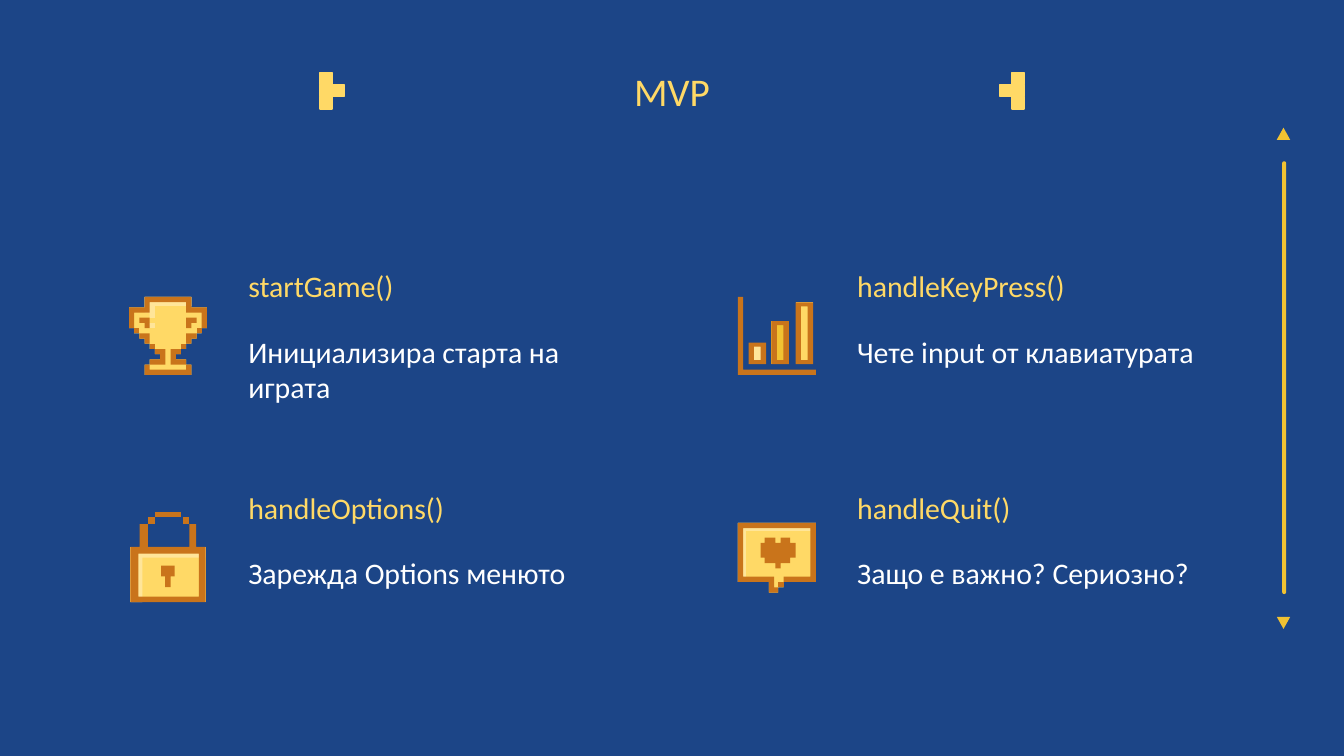
from dataclasses import dataclass

from pptx import Presentation
from pptx.dml.color import RGBColor
from pptx.enum.shapes import MSO_SHAPE
from pptx.enum.text import MSO_ANCHOR, MSO_AUTO_SIZE, PP_ALIGN
from pptx.util import Inches, Pt


@dataclass(frozen=True)
class Theme:
    font: str = "Calibri"
    title_size: int = 21
    text_size: int = 16
    background: str = "1C4587"
    white: str = "FFFFFF"
    yellow: str = "FFD966"
    pale: str = "FFE599"
    gold: str = "F1C232"
    bronze: str = "C9741B"


THEME = Theme()
COLUMNS = (1.75, 6.28)
ROWS = (1.93, 3.58)
FEATURES = (
    ("startGame()", "Инициализира старта на играта"),
    ("handleKeyPress()", "Чете input от клавиатурата"),
    ("handleOptions()", "Зарежда Options менюто"),
    ("handleQuit()", "Защо е важно? Сериозно?"),
)


def steps(x, y, *turns):
    """Corners of a stepped outline; turns are a new y, a new x, a new y and so on."""
    corners = [(x, y)]
    for index, turn in enumerate(turns):
        if index % 2:
            x = turn
        else:
            y = turn
        corners.append((x, y))
    return corners


def block(left, top, right, bottom):
    return steps(left, top, bottom, right, top)


def mirror(outline, width):
    return [(width - x, y) for x, y in outline]


def paint(shape, colour, line=None):
    shape.shadow.inherit = False
    shape.fill.solid()
    shape.fill.fore_color.rgb = RGBColor.from_string(colour)
    if line:
        shape.line.color.rgb = RGBColor.from_string(colour)
        shape.line.width = Pt(line)
    else:
        shape.line.fill.background()


def add_preset(shapes, kind, left, top, width, height, colour, line=None):
    shape = shapes.add_shape(kind, Inches(left), Inches(top), Inches(width), Inches(height))
    paint(shape, colour, line)
    return shape


def add_icon(slide, left, top, unit, layers):
    """Group of layers; each layer is a colour followed by its outlines, in units."""
    group = slide.shapes.add_group_shape()
    for colour, *outlines in layers:
        builder = None
        for outline in outlines:
            points = [(Inches(left + x * unit), Inches(top + y * unit)) for x, y in outline]
            if builder is None:
                builder = group.shapes.build_freeform(*points[0])
            else:
                builder.move_to(*points[0])
            builder.add_line_segments(points[1:], close=True)
        paint(builder.convert_to_shape(), colour)


def trophy_layers():
    body = steps(3, 0, 2, 0, 6, 1, 7, 2, 8, 3, 9, 4, 10, 5, 11, 6, 12, 4, 13, 3, 15,
                 12, 13, 11, 12, 9, 11, 10, 10, 11, 9, 12, 8, 13, 7, 14, 6, 15, 2, 12, 0)
    shine = steps(3, 0, 3, 4, 4, 5, 1.7, 12, 0)
    base = steps(3, 13, 15, 12, 13, 11, 14, 4, 13)
    rim = steps(3, 0, 2, 0, 6, 1, 3, 4, 1, 11, 3, 14, 6, 15, 2, 12, 0)
    left_edges = (
        block(4, 9, 5, 10),
        steps(5, 10, 11, 6, 12, 4, 13, 7, 10),
        block(1, 6, 2, 7),
        steps(2, 7, 8, 3, 9, 4, 7),
        steps(2, 4, 5, 3, 6, 4, 4),
    )
    edges = [edge for left in left_edges for edge in (left, mirror(left, 15))]
    return [(THEME.yellow, body), (THEME.pale, shine), (THEME.pale, block(3, 5, 5, 6)),
            *[(THEME.bronze, outline) for outline in (*edges, base, rim)]]


def bar_layers():
    layers = [(THEME.bronze, steps(0, 0, 58, 58, 54, 4, 0))]
    for left, top, colour in ((8, 34, THEME.pale), (25, 18, THEME.gold), (43, 4, THEME.yellow)):
        bar = block(left, top, left + 13, 50)
        hole = block(left + 4, top + 3, left + 9, 47)
        layers += [(colour, bar), (THEME.bronze, bar, hole)]
    return layers


def lock_layers():
    shackle_corner = block(13, 4, 18, 9)
    case = steps(7, 9, 26, 0, 67, 56, 26, 49, 9, 44, 26, 13, 9)
    return [
        (THEME.yellow, block(0, 26, 56, 67)),
        (THEME.pale, steps(0, 26, 67, 9, 34, 56, 26)),
        (THEME.bronze, block(18, 0, 38, 4)),
        (THEME.bronze, case, block(6, 31, 51, 63)),
        (THEME.bronze, shackle_corner),
        (THEME.bronze, mirror(shackle_corner, 57)),
        (THEME.bronze, steps(23, 40, 48, 26, 56, 30, 48, 33, 40)),
    ]


def bubble_layers():
    heart = steps(20, 11, 15, 17, 26, 20, 30, 28, 34, 32, 30, 39, 26, 43, 15,
                  39, 11, 32, 15, 28, 11)
    frame = steps(0, 0, 44, 23, 52, 30, 48, 27, 40, 4, 4, 54, 40, 34, 44, 58, 0)
    return [
        (THEME.yellow, steps(0, 0, 44, 23, 52, 30, 48, 34, 44, 58, 0)),
        (THEME.pale, steps(0, 0, 44, 6, 6, 58, 0)),
        (THEME.bronze, heart),
        (THEME.bronze, block(30, 44, 34, 48)),
        (THEME.bronze, frame),
    ]


def write(box, text, size, colour, anchor, align=PP_ALIGN.LEFT):
    frame = box.text_frame
    frame.word_wrap = True
    frame.auto_size = MSO_AUTO_SIZE.NONE
    frame.vertical_anchor = anchor
    frame.margin_left = frame.margin_right = Inches(0.1)
    frame.margin_top = frame.margin_bottom = Inches(0.1)
    frame.text = text
    para = frame.paragraphs[0]
    para.alignment = align
    font = para.runs[0].font
    font.name = THEME.font
    font.size = Pt(size)
    font.color.rgb = RGBColor.from_string(colour)


def add_title(slide, text):
    title = slide.shapes.title
    title.left, title.top = Inches(0.34), Inches(0.32)
    title.width, title.height = Inches(9.32), Inches(0.63)
    write(title, text, THEME.title_size, THEME.yellow, MSO_ANCHOR.BOTTOM, PP_ALIGN.CENTER)


def add_feature(slide, left, top, heading, description):
    for text, offset, height, colour, anchor in (
        (heading, 0, 0.43, THEME.yellow, MSO_ANCHOR.BOTTOM),
        (description, 0.45, 0.81, THEME.white, MSO_ANCHOR.TOP),
    ):
        box = slide.shapes.add_textbox(Inches(left), Inches(top + offset),
                                       Inches(2.87), Inches(height))
        write(box, text, THEME.text_size, colour, anchor)


def add_bracket(slide, left, nub_left):
    """Three stacked squares with a fourth beside the middle one."""
    group = slide.shapes.add_group_shape()
    side, top = 0.09, 0.54
    squares = [(left, row) for row in range(3)] + [(nub_left, 1)]
    for x, row in squares:
        add_preset(group.shapes, MSO_SHAPE.RECTANGLE, x, top + row * side, side, side,
                   THEME.yellow, 0.75)


def add_scrollbar(slide):
    track = add_preset(slide.shapes, MSO_SHAPE.ROUNDED_RECTANGLE, 9.54, 1.2, 0.03, 3.22, THEME.gold)
    track.adjustments[0] = 0.5
    for top, rotation in ((0.95, 0), (4.59, 180)):
        arrow = add_preset(slide.shapes, MSO_SHAPE.ISOSCELES_TRIANGLE, 9.5, top, 0.1, 0.09, THEME.gold)
        arrow.rotation = rotation


def main():
    deck = Presentation()
    deck.slide_width = Inches(10)
    deck.slide_height = deck.slide_width * 9 // 16
    slide = deck.slides.add_slide(deck.slide_layouts[5])
    slide.background.fill.solid()
    slide.background.fill.fore_color.rgb = RGBColor.from_string(THEME.background)

    add_title(slide, "MVP")
    for index, (heading, description) in enumerate(FEATURES):
        row, column = divmod(index, 2)
        add_feature(slide, COLUMNS[column], ROWS[row], heading, description)
    add_icon(slide, 5.49, 2.21, 0.01, bar_layers())
    add_icon(slide, 5.49, 3.89, 0.01, bubble_layers())
    add_icon(slide, 0.96, 2.21, 0.58 / 15, trophy_layers())
    add_icon(slide, 0.97, 3.81, 0.01, lock_layers())
    add_bracket(slide, 2.38, 2.47)
    add_bracket(slide, 7.53, 7.44)
    add_scrollbar(slide)
    deck.save("out.pptx")


if __name__ == "__main__":
    main()
